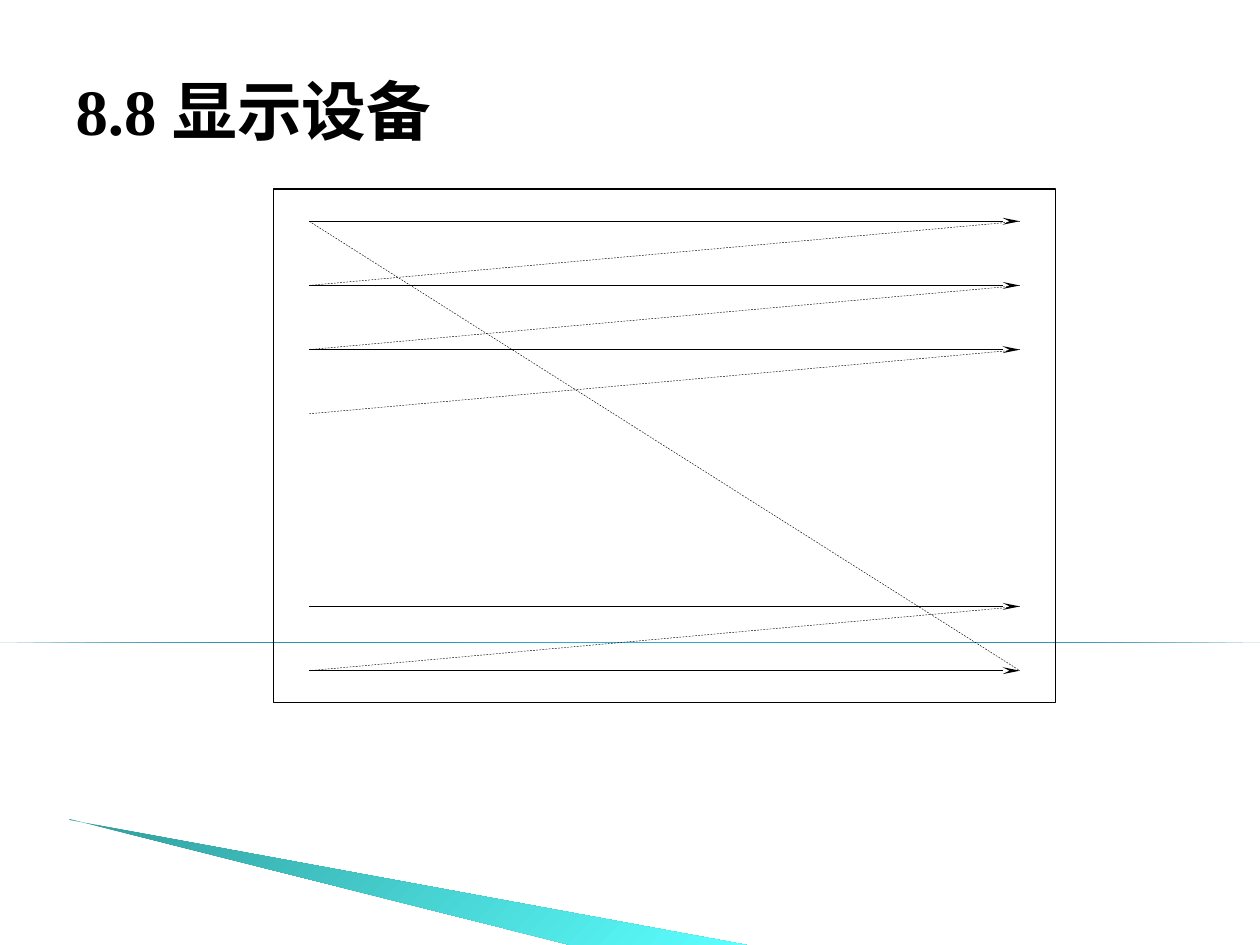
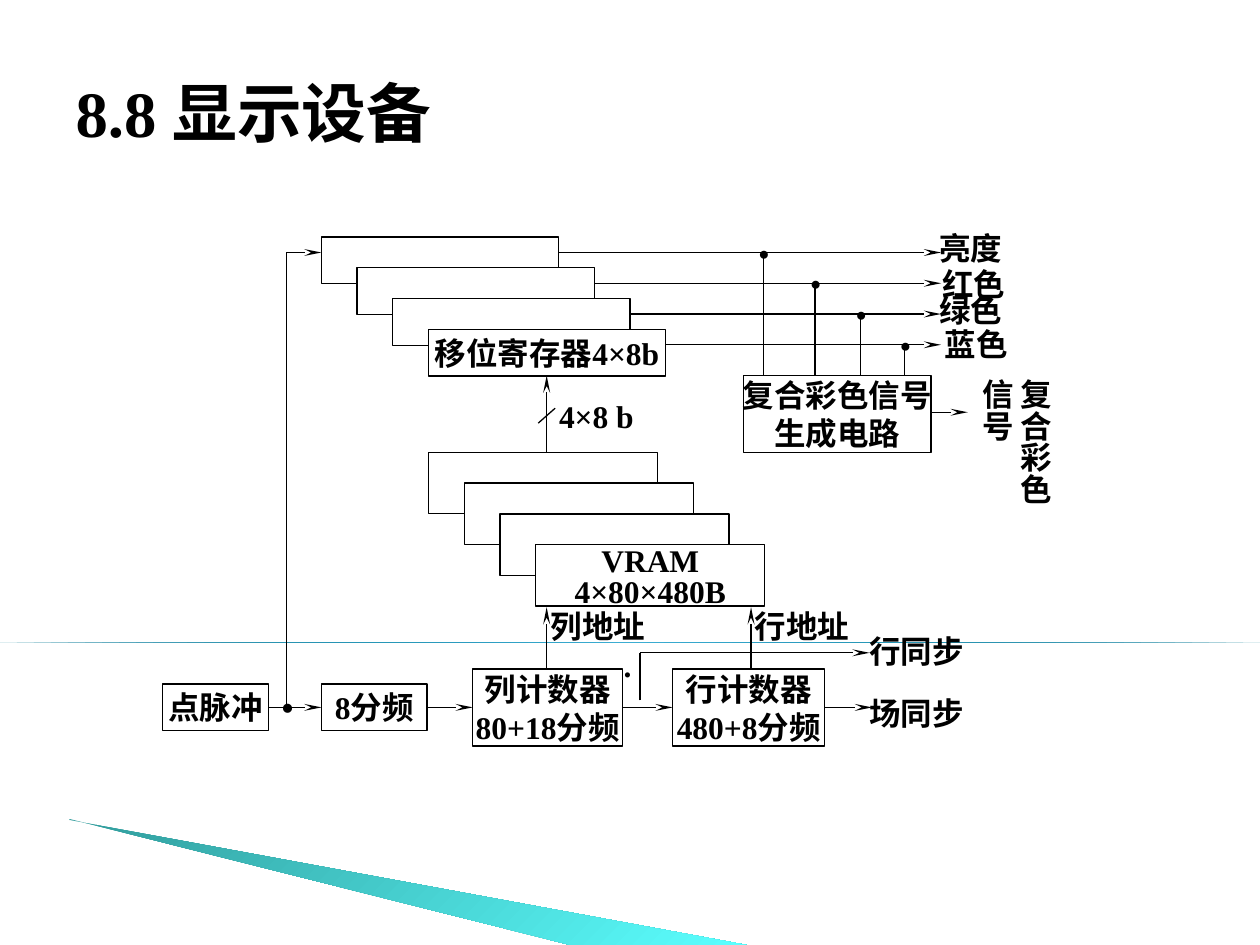
import dataclasses

import pptx
import pptx.dml.color
import pptx.enum.dml
import pptx.enum.shapes
import pptx.enum.text
import pptx.oxml
import pptx.oxml.ns
import pptx.util

Cm = pptx.util.Cm
Align = pptx.enum.text.PP_ALIGN
Preset = pptx.enum.shapes.MSO_SHAPE
qn = pptx.oxml.ns.qn


@dataclasses.dataclass(frozen=True)
class Theme:
    font: str = "Times New Roman"
    ink: str = "000000"
    paper: str = "FFFFFF"
    rule_stops: tuple = ((0, "007897"), (50, "4ABBE0"), (100, "007897"))
    wedge_stops: tuple = ((0, "319C9C"), (100, "5BFFFF"))
    title_size: int = 37
    label_size: int = 18
    dot_size: int = 28
    junction_size: int = 32
    line_width: float = 0.75
    retrace_width: float = 0.25


@dataclasses.dataclass(frozen=True)
class Box:
    left: float
    top: float
    width: float
    height: float


THEME = Theme()
CASCADE_X, CASCADE_Y = 0.72, 0.62
PAGE = Box(0, 0, 25.4, 19.05)
TITLE = Box(1.27, 0.76, 22.86, 3.18)
RASTER = Box(5.51, 3.81, 15.77, 10.36)
VIDEO = Box(6.48, 4.78, 14.9, 5.71)
MEMORY = Box(8.64, 7.57, 6.78, 4.65)
TIMING = Box(3.28, 4.78, 17.2, 10.26)


def color(value):
    return pptx.dml.color.RGBColor.from_string(value)


def format_paragraph(para, size, align=Align.LEFT, spacing=None):
    para.alignment = align
    para.space_before = pptx.util.Pt(0)
    if spacing:
        para.line_spacing = spacing
    para.font.name = THEME.font
    para.font.size = pptx.util.Pt(size)
    para.font.bold = True
    para.font.color.rgb = color(THEME.ink)


def fill_gradient(shape, stops, angle):
    shape.shadow.inherit = False
    shape.line.fill.background()
    shape.fill.gradient()
    gradient = shape.element.spPr.find(qn("a:gradFill"))
    marks = "".join(
        f'<a:gs pos="{position * 1000}"><a:srgbClr val="{value}"/></a:gs>'
        for position, value in stops)
    gradient.getparent().replace(gradient, pptx.oxml.parse_xml(
        f'<a:gradFill {pptx.oxml.ns.nsdecls("a")} rotWithShape="1"><a:gsLst>{marks}</a:gsLst>'
        f'<a:lin ang="{angle * 60000}" scaled="0"/></a:gradFill>'))


class Region:
    def __init__(self, page, box):
        self.shapes = page.shapes
        self.box = box

    def place(self, x, y):
        return Cm(self.box.left + x), Cm(self.box.top + y)

    def block(self, x, y, width, height, lines=(), spacing=None, filled=True):
        shape = self.shapes.add_shape(
            Preset.RECTANGLE, *self.place(x, y), Cm(width), Cm(height))
        shape.shadow.inherit = False
        if filled:
            shape.fill.solid()
            shape.fill.fore_color.rgb = color(THEME.paper)
        else:
            shape.fill.background()
        shape.line.color.rgb = color(THEME.ink)
        shape.line.width = pptx.util.Pt(THEME.line_width)
        if lines:
            frame = shape.text_frame
            frame.word_wrap = False
            frame.vertical_anchor = pptx.enum.text.MSO_ANCHOR.MIDDLE
            frame.text = "\n".join(lines)
            for index, para in enumerate(frame.paragraphs):
                format_paragraph(para, THEME.label_size, Align.CENTER,
                                 spacing if index else None)

    def cascade(self, x, y, width, height, lines, spacing=None):
        for index in range(4):
            self.block(x + index * CASCADE_X, y + index * CASCADE_Y, width, height,
                       lines if index == 3 else (), spacing)

    def line(self, start, end, arrow=False, dashed=False):
        connector = self.shapes.add_connector(
            pptx.enum.shapes.MSO_CONNECTOR.STRAIGHT, *self.place(*start), *self.place(*end))
        connector.line.color.rgb = color(THEME.ink)
        connector.line.width = pptx.util.Pt(
            THEME.retrace_width if dashed else THEME.line_width)
        if dashed:
            connector.line.dash_style = pptx.enum.dml.MSO_LINE.DASH
        properties = connector.element.spPr
        if arrow:
            properties.find(qn("a:ln")).append(pptx.oxml.parse_xml(
                f'<a:tailEnd {pptx.oxml.ns.nsdecls("a")} type="stealth" w="sm" len="lg"/>'))
        properties.append(pptx.oxml.parse_xml(
            f'<a:effectLst {pptx.oxml.ns.nsdecls("a")}/>'))

    def arrow(self, start, end):
        self.line(start, end, arrow=True)

    def label(self, text, x, y, width=3.2, height=1.02, size=THEME.label_size):
        shape = self.shapes.add_textbox(*self.place(x, y), Cm(width), Cm(height))
        frame = shape.text_frame
        frame.word_wrap = True
        frame.text = text
        format_paragraph(frame.paragraphs[0], size)
        return shape

    def vertical_label(self, text, x, y, width, height):
        frame = self.label(text, x, y, width, height).text_frame
        frame.margin_left = frame.margin_right = Cm(0.13)
        frame.margin_top = frame.margin_bottom = Cm(0.25)
        frame.paragraphs[0].line_spacing = 1.0
        body = self.shapes[-1].element.find(".//" + qn("a:bodyPr"))
        body.set("vert", "eaVert")


def decorate_master(deck, page, box):
    region = Region(page, box)
    rule = page.shapes.add_shape(
        Preset.RIGHT_TRIANGLE, *region.place(0, 12.95), Cm(box.width), Cm(0))
    fill_gradient(rule, THEME.rule_stops, 50)
    builder = page.shapes.build_freeform(*region.place(1.4, 16.53))
    builder.add_line_segments(
        [region.place(15.05, 19.05), region.place(11.5, 19.05), region.place(1.4, 16.51)])
    wedge = builder.convert_to_shape()
    fill_gradient(wedge, THEME.wedge_stops, 45)
    for shape in (rule, wedge):
        deck.slide_master.shapes.element.append(shape.element)


def write_title(page, box, text, align, spacing):
    title = page.shapes.title
    title.left, title.top = Cm(box.left), Cm(box.top)
    title.width, title.height = Cm(box.width), Cm(box.height)
    frame = title.text_frame
    frame.text = text
    frame.vertical_anchor = pptx.enum.text.MSO_ANCHOR.MIDDLE
    format_paragraph(frame.paragraphs[0], THEME.title_size, align, spacing)


def draw_raster(page, box):
    region = Region(page, box)
    region.block(0, 0, box.width, box.height, filled=False)
    margin_x, margin_y = 0.72, 0.65
    left, right = margin_x, box.width - margin_x
    row_gap = (box.height - 2 * margin_y) / 7
    row_tops = [margin_y + row * row_gap for row in range(8)]
    for row in (0, 1, 2, 6, 7):
        region.arrow((left, row_tops[row]), (right, row_tops[row]))
    for row in (0, 1, 2, 6):
        region.line((left, row_tops[row + 1]), (right, row_tops[row]), dashed=True)
    region.line((left, row_tops[0]), (right, row_tops[7]), dashed=True)


def draw_video_output(page, box):
    region = Region(page, box)
    register_width, encoder_top, output_end = 4.78, 2.79, 12.49
    region.cascade(0, 0, register_width, 0.94, ["移位寄存器4×8b"])
    region.block(8.51, encoder_top, 3.78, 1.55, ["复合彩色信号", "生成电路"])
    signals = [
        ("亮度", 12.21, -0.28, 8.91),
        ("红色", 12.27, 0.43, 9.95),
        ("绿色", 12.21, 0.96, 10.87),
        ("蓝色", 12.32, 1.65, 11.76),
    ]
    for index, (name, label_left, label_top, tap) in enumerate(signals):
        height = 0.31 + index * CASCADE_Y
        region.arrow((register_width + index * CASCADE_X, height), (output_end, height))
        region.line((tap, height), (tap, encoder_top))
        region.label(name, label_left, label_top, width=2.13)
        region.label(".", tap - 0.36, height - 1, height=1.45, size=THEME.dot_size)
    region.arrow((12.29, 3.53), (13.03, 3.53))
    region.vertical_label("复合彩色信号", 12.87, 2.61, 2.03, 3.1)


def draw_memory(page, box):
    region = Region(page, box)
    bus, memory_top = 2.38, 1.55
    region.cascade(0, memory_top, 4.62, 1.24, ["VRAM", "4×80×480B"], spacing=0.8)
    region.arrow((bus, memory_top), (bus, 0))
    region.line((bus - 0.17, 0.96), (bus + 0.17, 0.66))
    region.label("4×8 b", bus, 0.3)


def draw_timing(page, box):
    region = Region(page, box)
    axis, counter_top = 9.48, 8.71
    for name, left in (("点脉冲", 0), ("8分频", 3.2)):
        region.block(left, 9.01, 2.13, 0.94, [name])
    region.block(6.25, counter_top, 3.02, 1.55, ["列计数器", "80+18分频"])
    region.block(10.28, counter_top, 3.07, 1.55, ["行计数器", "480+8分频"])
    for start, end in ((2.13, 3.2), (5.33, 6.25), (9.27, 10.28), (13.35, 14.3)):
        region.arrow((start, axis), (end, axis))
    for name, address in (("列地址", 7.74), ("行地址", 11.86)):
        region.arrow((address, counter_top), (address, 7.46))
        region.label(name, address - 0.17, 7.34)
    clock, clock_top = 2.49, 0.31
    region.line((clock, axis), (clock, clock_top))
    region.arrow((clock, clock_top), (3.2, clock_top))
    sync, sync_top = 9.62, 8.38
    region.line((sync, 9.34), (sync, sync_top))
    region.arrow((sync, sync_top), (14.25, sync_top))
    region.label("行同步", 13.99, 7.84)
    region.label("场同步", 13.99, 9.09)
    region.label(".", clock - 0.36, 8.33, height=1.63, size=THEME.junction_size)
    region.label(".", 9.04, 8.12)


def main():
    deck = pptx.Presentation()
    deck.slide_width, deck.slide_height = Cm(PAGE.width), Cm(PAGE.height)
    layout = deck.slide_layouts.get_by_name("Title Only")
    heading = "8.8 显示设备"

    raster_page = deck.slides.add_slide(layout)
    decorate_master(deck, raster_page, PAGE)
    write_title(raster_page, TITLE, heading, Align.LEFT, 0.8)
    draw_raster(raster_page, RASTER)

    circuit_page = deck.slides.add_slide(layout)
    write_title(circuit_page, TITLE, heading, Align.JUSTIFY, 0.9)
    draw_video_output(circuit_page, VIDEO)
    draw_memory(circuit_page, MEMORY)
    draw_timing(circuit_page, TIMING)

    deck.save("out.pptx")


if __name__ == "__main__":
    main()
